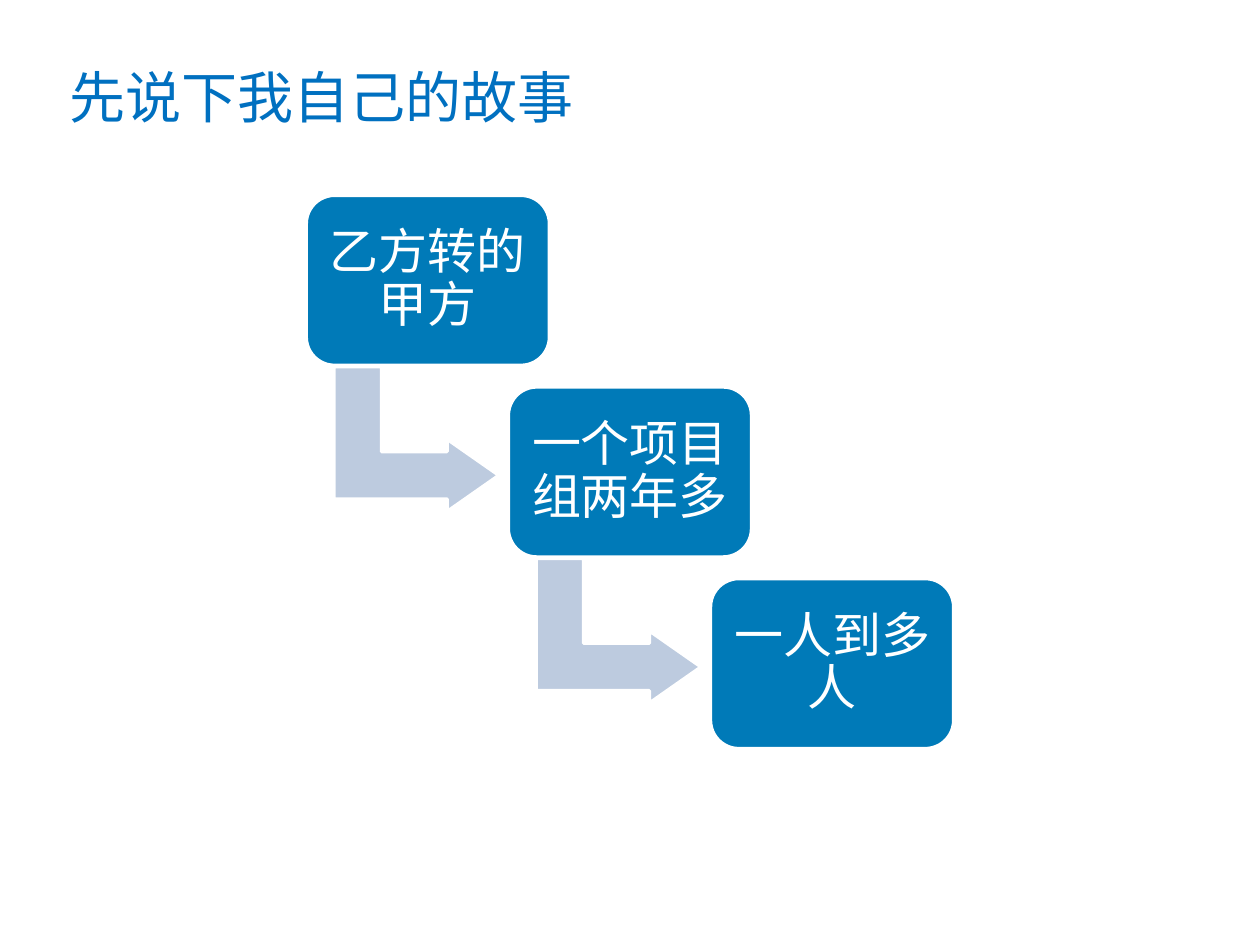
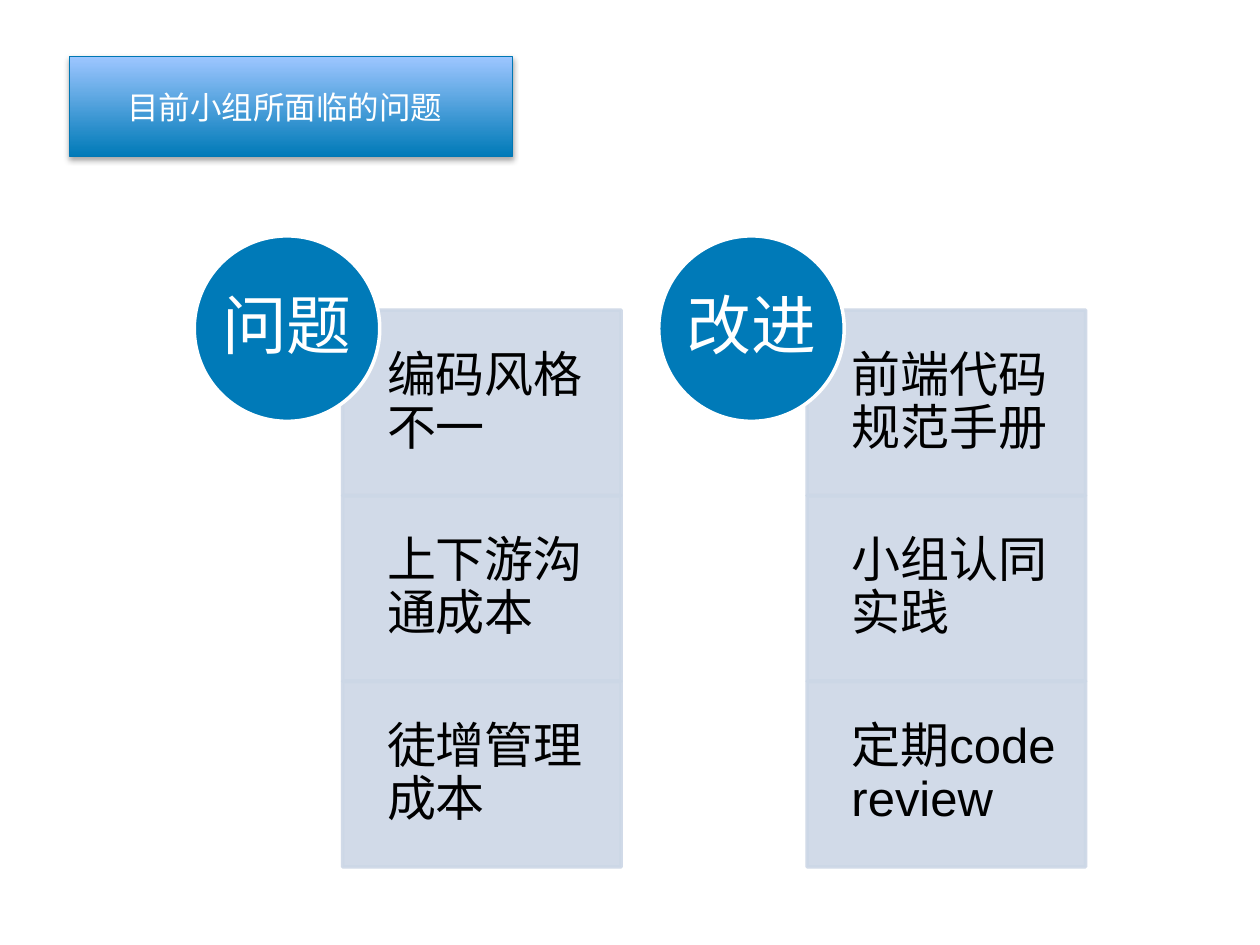
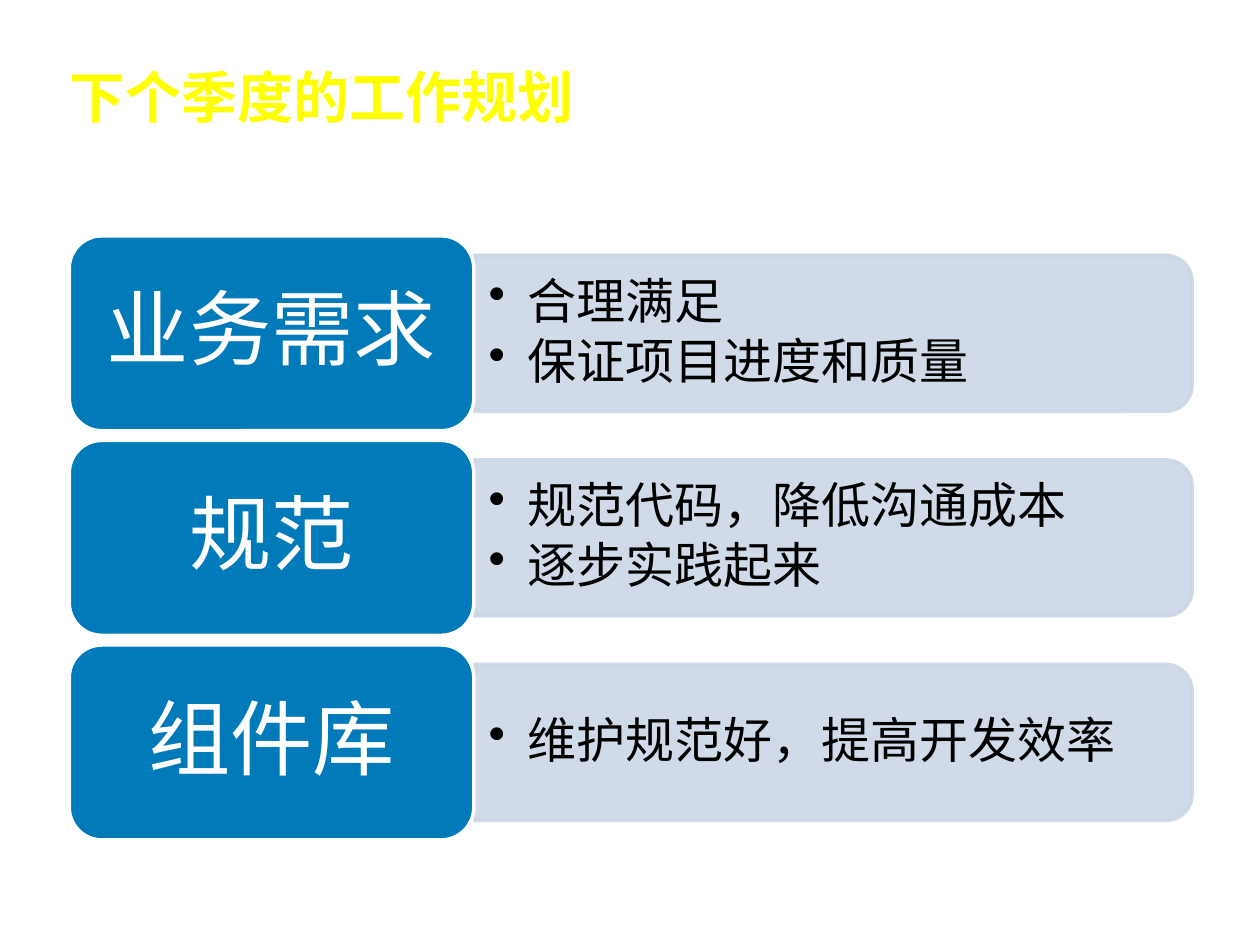
from lxml.etree import SubElement
from pptx import Presentation
from pptx.dml.color import RGBColor
from pptx.enum.shapes import MSO_SHAPE as Preset
from pptx.enum.text import MSO_ANCHOR as Anchor, PP_ALIGN as Align
from pptx.oxml.ns import qn
from pptx.util import Pt

BLUE = RGBColor(0x00, 0x7A, 0xB8)
EDGE_BLUE = RGBColor(0x00, 0x77, 0xB4)
LIGHT_BLUE = RGBColor(0x9D, 0xC6, 0xFF)
TITLE_BLUE = RGBColor(0x00, 0x70, 0xC0)
ARROW_BLUE = RGBColor(0xBD, 0xCB, 0xDF)
PANEL_BLUE = RGBColor(0xCC, 0xD7, 0xE6)
YELLOW = RGBColor(0xFF, 0xFF, 0x00)
WHITE = RGBColor(0xFF, 0xFF, 0xFF)
BLACK = RGBColor(0x00, 0x00, 0x00)

TITLE_FONT, BODY_FONT = "Montserrat", "Arial"
TITLE_INSETS = (0, 3.6, 7.2, 3.6)
TITLE_BOX = (39.6, 32.4, 507.6, 54)
BANNER_BOX = (39.6, 32.4, 253.4, 56.9)

STEPS = ["乙方转的甲方", "一个项目组两年多", "一人到多人"]
COLUMNS = {
    "问题": ["编码风格不一", "上下游沟通成本", "徒增管理成本"],
    "改进": ["前端代码规范手册", "小组认同实践", "定期code review"],
}
PLANS = {
    "业务需求": ["合理满足", "保证项目进度和质量"],
    "规范": ["规范代码，降低沟通成本", "逐步实践起来"],
    "组件库": ["维护规范好，提高开发效率"],
}


def points(*lengths):
    """Turn plain numbers into lengths in points."""
    return [Pt(length) for length in lengths]


def add_panel(slide, preset, box, fill, line=WHITE, alpha=None):
    """Add a flat filled shape, optionally translucent."""
    panel = slide.shapes.add_shape(preset, *points(*box))
    panel.shadow.inherit = False
    panel.fill.solid()
    panel.fill.fore_color.rgb = fill
    panel.line.color.rgb = line
    panel.line.width = Pt(2)
    if alpha:
        for color in panel.fill._xPr.iter(qn("a:srgbClr")):
            SubElement(color, qn("a:alpha"), val=str(alpha * 1000))
    return panel


def write(holder, lines, size, color, font=BODY_FONT, align=Align.CENTER,
          insets=(0, 0, 0, 0), anchor=Anchor.MIDDLE, spacing=0.9, bold=False, bullets=False):
    """Write one paragraph per line into a shape or text box."""
    frame = holder.text_frame
    frame.word_wrap = True
    frame.vertical_anchor = anchor
    frame.margin_left, frame.margin_top, frame.margin_right, frame.margin_bottom = points(*insets)
    for index, line in enumerate(lines):
        paragraph = frame.add_paragraph() if index else frame.paragraphs[0]
        paragraph.alignment = align
        paragraph.line_spacing = spacing
        if bullets:
            paragraph.space_after = Pt(size * 0.15)
            properties = paragraph._p.get_or_add_pPr()
            properties.set("marL", str(Pt(22.5)))
            properties.set("indent", str(-Pt(22.5)))
            SubElement(properties, qn("a:buChar"), char="•")
        run = paragraph.add_run()
        run.text = line
        run.font.name, run.font.size, run.font.bold = font, Pt(size), bold
        run.font.color.rgb = color


def add_title(slide, title, color, bold=False):
    """Add a plain slide title."""
    heading = slide.shapes.add_textbox(*points(*TITLE_BOX))
    write(heading, [title], 32, color, TITLE_FONT, Align.LEFT, TITLE_INSETS,
          Anchor.TOP, 1, bold)


def add_banner(slide, title):
    """Add a title on a shaded band with a soft shadow."""
    banner = add_panel(slide, Preset.RECTANGLE, BANNER_BOX, BLUE, EDGE_BLUE)
    banner.line.width = Pt(0.75)
    banner.fill.gradient()
    banner.fill.gradient_angle = 90
    for stop, color in zip(banner.fill.gradient_stops, (BLUE, LIGHT_BLUE)):
        stop.color.rgb = color
    effects = banner._element.spPr.find(qn("a:effectLst"))
    shadow = SubElement(effects, qn("a:outerShdw"), blurRad=str(Pt(3.1)), dist=str(Pt(1.8)),
                        dir="5400000", rotWithShape="0")
    shade = SubElement(shadow, qn("a:srgbClr"), val=str(BLACK))
    SubElement(shade, qn("a:alpha"), val="35000")
    write(banner, [title], 18, WHITE, TITLE_FONT, insets=TITLE_INSETS, spacing=1)


def add_staircase(slide, box, steps):
    """Step cards down to the right, joined by bent arrows."""
    left, top, width, height = box
    card_width, card_height = 139, 97.2
    across = (width - card_width) / (len(steps) - 1)
    down = (height - card_height) / (len(steps) - 1)
    for index, step in enumerate(steps):
        x, y = left + index * across, top + index * down
        if index < len(steps) - 1:
            arrow = add_panel(slide, Preset.BENT_UP_ARROW, (x + 21.6, y + 92.2, 82.8, 94.3),
                              ARROW_BLUE)
            arrow.rotation = 90
            for position, value in enumerate((0.328, 0.25, 0.358)):
                arrow.adjustments[position] = value
        card = add_panel(slide, Preset.ROUNDED_RECTANGLE, (x, y, card_width, card_height), BLUE)
        write(card, [step], 28, WHITE, insets=(8.4,) * 4)


def add_badge_column(slide, box, heading, items):
    """Stack items under a round badge at the top left."""
    left, top, width, height = box
    badge_size, indent, drop = 106, 84.8, 42.4
    row_height = (height - drop) / len(items)
    for index, item in enumerate(items):
        cell = add_panel(slide, Preset.RECTANGLE,
                         (left + indent, top + drop + index * row_height,
                          width - indent, row_height), PANEL_BLUE, PANEL_BLUE, 90)
        write(cell, [item], 28, BLACK, align=Align.LEFT, insets=(25.4, 15.8, 15.8, 15.8))
    badge = add_panel(slide, Preset.OVAL, (left, top, badge_size, badge_size), BLUE)
    write(badge, [heading], 37, WHITE)


def add_plan_row(slide, box, heading, goals):
    """Place a heading card beside a panel of goals."""
    left, top, width, height = box
    card_width, panel_height = 231.2, height * 0.8
    panel_left, panel_width = left + card_width, width - card_width
    middle = top + height / 2
    panel = add_panel(slide, Preset.ROUND_2_SAME_RECTANGLE,
                      (panel_left + (panel_width - panel_height) / 2, middle - panel_width / 2,
                       panel_height, panel_width), PANEL_BLUE, PANEL_BLUE, 90)
    panel.rotation = 90
    text_height = panel_height * 0.9
    goal_list = slide.shapes.add_textbox(
        *points(panel_left, middle - text_height / 2, panel_width - 4.4, text_height))
    write(goal_list, goals, 28, BLACK, align=Align.LEFT, insets=(8.4, 4.2, 8.4, 4.2),
          bullets=True)
    card = add_panel(slide, Preset.ROUNDED_RECTANGLE, (left, top, card_width, height), BLUE)
    write(card, [heading], 47, WHITE, insets=(14.1, 7.05, 14.1, 7.05))


def main():
    """Build the three slides and save them."""
    deck = Presentation()
    deck.slide_width, deck.slide_height = points(720, 540)
    story, problems, planning = [deck.slides.add_slide(deck.slide_layouts[6]) for _ in range(3)]

    add_title(story, "先说下我自己的故事", TITLE_BLUE)
    add_staircase(story, (175, 111.6, 370, 316.2), STEPS)

    for index, (heading, items) in enumerate(COLUMNS.items()):
        add_badge_column(problems, (111 + index * 265.4, 134.8, 244, 360.6), heading, items)
    add_banner(problems, "目前小组所面临的问题")

    add_title(planning, "下个季度的工作规划", YELLOW, bold=True)
    for index, (heading, goals) in enumerate(PLANS.items()):
        add_plan_row(planning, (39.6, 134.8 + index * 116.9, 641.6, 111.4), heading, goals)

    deck.save("out.pptx")


if __name__ == "__main__":
    main()
